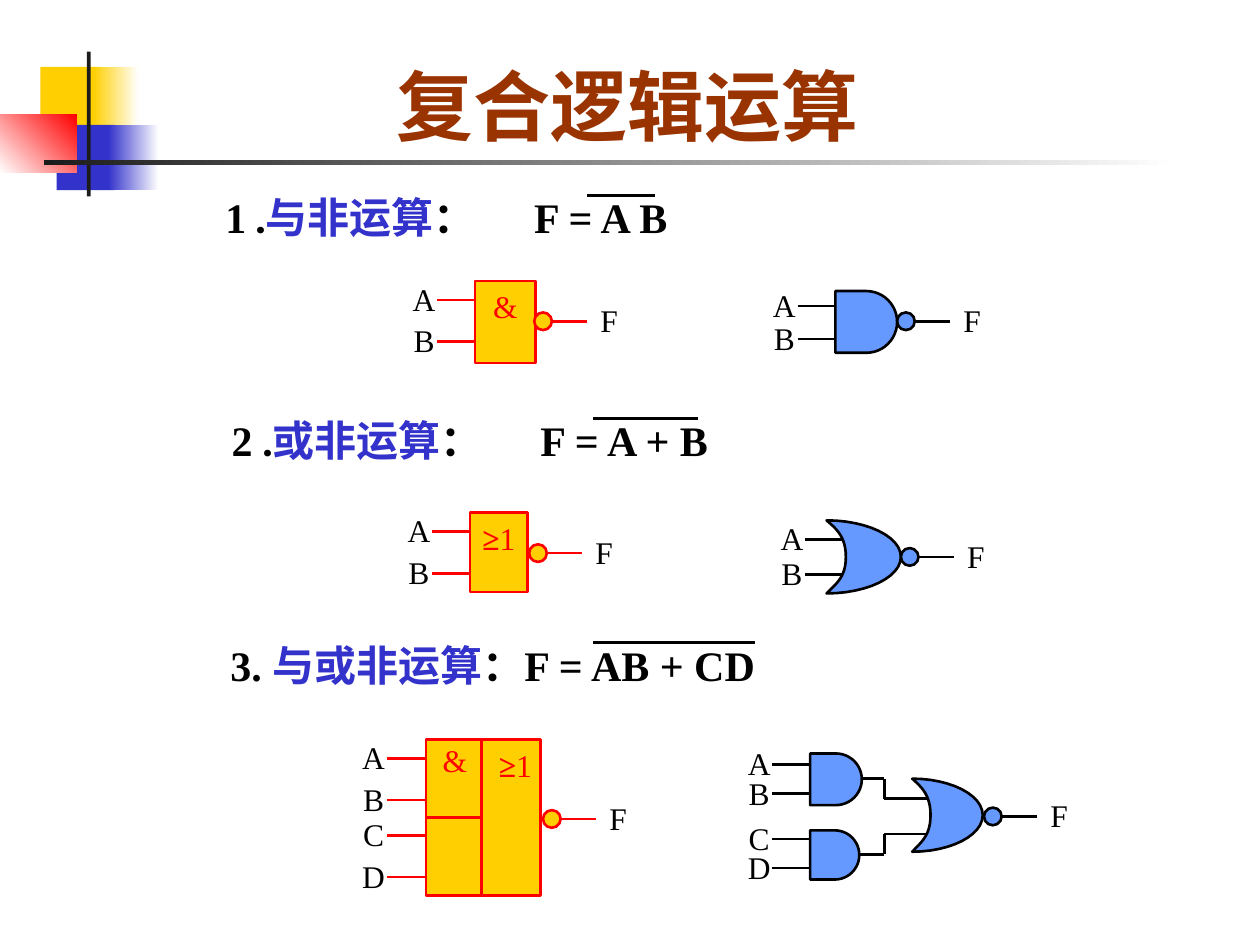
"""Build the slide on compound logic operations: NAND, NOR and AND-OR-NOT."""
from lxml.etree import SubElement
from pptx import Presentation
from pptx.dml.color import RGBColor
from pptx.enum.shapes import MSO_CONNECTOR, MSO_SHAPE
from pptx.enum.text import MSO_ANCHOR, PP_ALIGN
from pptx.oxml.ns import qn
from pptx.util import Inches, Pt

BLACK = RGBColor(0x00, 0x00, 0x00)
WHITE = RGBColor(0xFF, 0xFF, 0xFF)
RED = RGBColor(0xFF, 0x00, 0x00)
GOLD = RGBColor(0xFF, 0xCF, 0x01)
BLUE = RGBColor(0x33, 0x33, 0xCC)
SKY = RGBColor(0x66, 0x99, 0xFF)
BROWN = RGBColor(0x99, 0x33, 0x00)
DARK = RGBColor(0x1C, 0x1C, 0x1C)
SERIF = "Times New Roman"

TITLE = "复合逻辑运算"
DECOR = [
    ((0.32, 0.53, 0.48, 0.52), GOLD, None, 0),
    ((0.74, 0.53, 0.36, 0.52), GOLD, WHITE, 0),
    ((0.45, 0.99, 0.46, 0.52), BLUE, None, 0),
    ((0.86, 0.99, 0.4, 0.52), BLUE, WHITE, 0),
    ((0, 0.91, 0.61, 0.46), WHITE, RED, 45),
    ((0.69, 0.41, 0.03, 1.15), DARK, None, 0),
    ((0.35, 1.27, 9, 0.04), DARK, WHITE, 0),
]
FORMULAS = [
    ((1.69, 1.47, 4.11, 0.9), ("1 ", ".", "与非运算", "：\tF = A B"), (4.66, 5.2, 1.55)),
    ((1.74, 3.24, 4.11, 0.9), ("2 ", ".", "或非运算", "：\tF = A + B"), (4.71, 5.54, 3.32)),
    ((1.73, 5.03, 5.3, 0.5), ("3. ", "", "与或非运算", "：F = AB + CD"), (4.71, 5.99, 5.1)),
]
INPUTS = [
    (3.77, RED, {"A": 2.38, "B": 2.71}),
    (6.63, BLACK, {"A": 2.43, "B": 2.69}),
    (3.73, RED, {"A": 4.22, "B": 4.55}),
    (6.69, BLACK, {"A": 4.28, "B": 4.56}),
    (3.37, RED, {"A": 6.02, "B": 6.35, "C": 6.63, "D": 6.96}),
    (6.43, BLACK, {"A": 6.07, "B": 6.3, "C": 6.66, "D": 6.89}),
]
BOXES = [(3.77, 2.23, 0.48, 0.65), (3.73, 4.07, 0.46, 0.63), (3.38, 5.87, 0.91, 1.24)]
BOX_SIGNS = [
    ("&", (3.77, 2.23, 0.48, 0.4)),
    ("≥1", (3.73, 4.07, 0.46, 0.4)),
    ("&", (3.37, 5.83, 0.48, 0.4)),
    ("≥1", (3.83, 5.87, 0.52, 0.4)),
]
DIVIDERS = [((3.82, 5.87), (3.82, 7.11)), ((3.82, 6.49), (3.38, 6.49))]
AND_GATES = [(6.63, 2.31, 0.49, 0.49), (6.43, 5.98, 0.41, 0.41), (6.43, 6.59, 0.39, 0.39)]
OR_GATES = [(6.56, 4.13, 0.59, 0.58), (7.24, 6.18, 0.56, 0.58)]
LINKS = [
    [(6.82, 6.18), (7.02, 6.18), (7.02, 6.34), (7.38, 6.34)],
    [(6.82, 6.78), (7.02, 6.78), (7.02, 6.62), (7.37, 6.62)],
]
OUTPUTS = [
    (4.24, 2.55, RED, GOLD), (7.12, 2.55, BLACK, SKY),
    (4.2, 4.39, RED, GOLD), (7.15, 4.42, BLACK, SKY),
    (4.31, 6.5, RED, GOLD), (7.81, 6.48, BLACK, SKY),
]
OR_CURVES = [
    ((0, 0), (0.14, 0.12), (0.26, 0.23), (0.26, 0.5)),
    ((0.26, 0.5), (0.26, 0.77), (0.14, 0.86), (0, 1)),
    ((0, 1), (0.54, 1), (1, 0.78), (1, 0.5)),
    ((1, 0.5), (1, 0.22), (0.54, 0), (0, 0)),
]

prs = Presentation()
prs.slide_width, prs.slide_height = Inches(10), Inches(7.5)
s = prs.slides.add_slide(prs.slide_layouts[6])


def paint(sp, fill, line):
    sp.shadow.inherit = False
    sp.fill.solid()
    sp.fill.fore_color.rgb = fill
    if line is None:
        sp.line.fill.background()
    else:
        sp.line.color.rgb = line
        sp.line.width = Pt(1.5)


def add_shape(kind, box, fill, line=None):
    sp = s.shapes.add_shape(kind, *map(Inches, box))
    paint(sp, fill, line)
    return sp


def add_line(start, end, color):
    ln = s.shapes.add_connector(MSO_CONNECTOR.STRAIGHT, *map(Inches, (*start, *end)))
    ln.line.color.rgb = color
    ln.line.width = Pt(1.5)
    SubElement(ln._element.spPr, qn("a:effectLst"))


def add_text(box, runs, size, align=PP_ALIGN.CENTER, anchor=MSO_ANCHOR.TOP, wrap=True):
    tf = s.shapes.add_textbox(*map(Inches, box)).text_frame
    tf.word_wrap = wrap
    tf.vertical_anchor = anchor
    p = tf.paragraphs[0]
    p.alignment = align
    for text, font, color, bold in runs:
        r = p.add_run()
        r.text = text
        r.font.name, r.font.size, r.font.bold = font, Pt(size), bold
        r.font.color.rgb = color
    return p


def add_label(text, x, y):
    add_text((x, y - 0.21, 0.39, 0.4), [(text, SERIF, BLACK, False)], 18)


def add_or_gate(x, y, w, h, steps=12):
    points = []
    for curve in OR_CURVES:
        for t in (i / steps for i in range(steps + 1)):
            weights = ((1 - t) ** 3, 3 * t * (1 - t) ** 2, 3 * t * t * (1 - t), t ** 3)
            u, v = (sum(k * c[axis] for k, c in zip(weights, curve)) for axis in (0, 1))
            points.append((Inches(x + u * w), Inches(y + v * h)))
    fb = s.shapes.build_freeform(*points[0])
    fb.add_line_segments(points[1:], close=True)
    paint(fb.convert_to_shape(), SKY, BLACK)


for box, first, last, angle in DECOR:
    sp = add_shape(MSO_SHAPE.RECTANGLE, box, first)
    if last is not None:
        sp.fill.gradient()
        sp.fill.gradient_angle = angle
        for stop, color, position in zip(sp.fill.gradient_stops, (first, last), (0, 1)):
            stop.color.rgb = color
            stop.position = position

add_text((0.33, 0, 9.31, 1.25), [(TITLE, SERIF, BROWN, True)], 44, anchor=MSO_ANCHOR.BOTTOM)

for box, texts, (left, right, y) in FORMULAS:
    styles = ((SERIF, BLACK), ("Karla", BLACK), (SERIF, BLUE), (SERIF, BLACK))
    runs = [(text, *style, True) for text, style in zip(texts, styles) if text]
    p = add_text(box, runs, 24, PP_ALIGN.LEFT)
    tabs = SubElement(p._p.get_or_add_pPr(), qn("a:tabLst"))
    SubElement(tabs, qn("a:tab"), pos=str(Inches(2.45)), algn="l")
    add_line((left, y), (right, y), BLACK)

for x, color, pins in INPUTS:
    for name, y in pins.items():
        add_line((x - 0.3, y), (x, y), color)
        add_label(name, x - 0.6, y)

for link in LINKS:
    for start, end in zip(link, link[1:]):
        add_line(start, end, BLACK)

for box in BOXES:
    add_shape(MSO_SHAPE.RECTANGLE, box, GOLD, RED)
for start, end in DIVIDERS:
    add_line(start, end, RED)
for sign, box in BOX_SIGNS:
    add_text(box, [(c, SERIF, RED, c == "≥") for c in sign], 18, wrap=False)
for box in AND_GATES:
    add_shape(MSO_SHAPE.FLOWCHART_DELAY, box, SKY, BLACK)
for box in OR_GATES:
    add_or_gate(*box)

for x, y, color, fill in OUTPUTS:
    add_line((x + 0.13, y), (x + 0.42, y), color)
    add_shape(MSO_SHAPE.OVAL, (x, y - 0.07, 0.14, 0.14), fill, color)
    add_label("F", x + 0.4, y)

prs.save("out.pptx")
